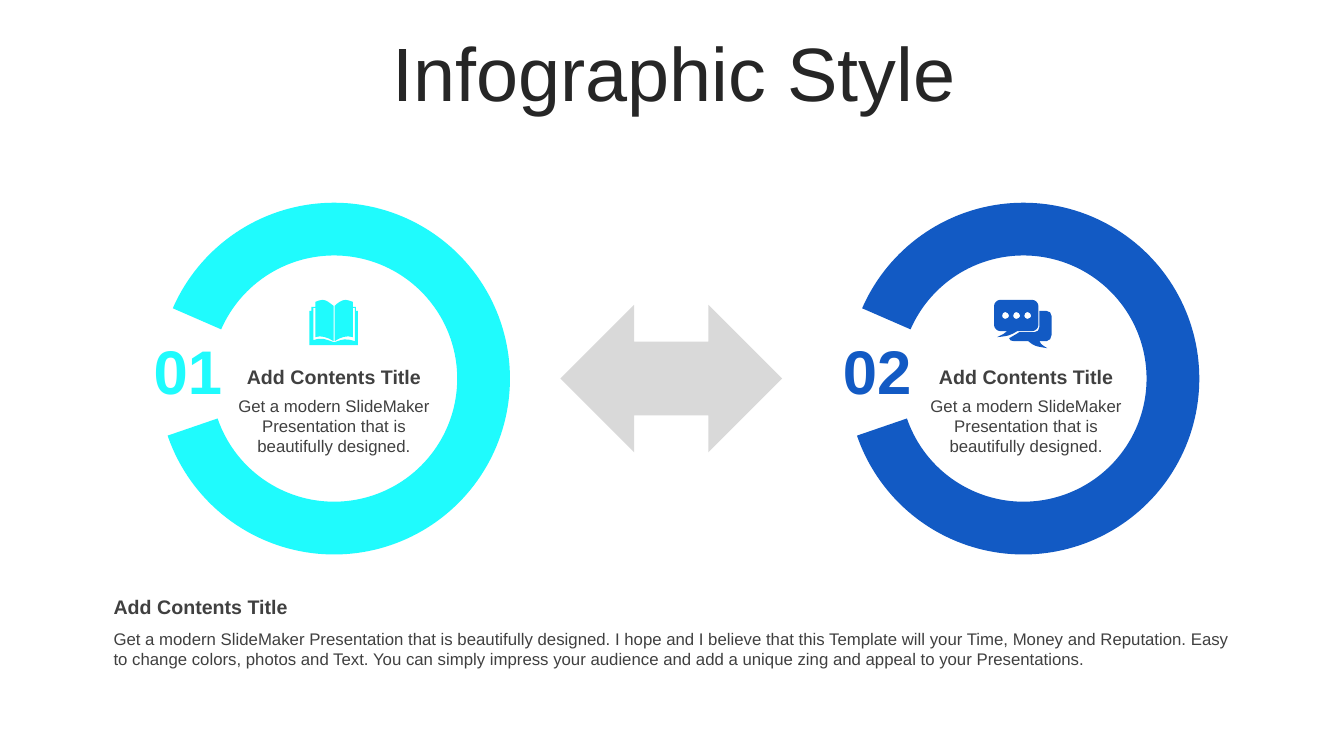
from lxml.etree import SubElement
from pptx import Presentation
from pptx.dml.color import RGBColor
from pptx.enum.shapes import MSO_SHAPE
from pptx.enum.text import MSO_ANCHOR, MSO_AUTO_SIZE, PP_ALIGN
from pptx.oxml.ns import qn
from pptx.util import Inches, Pt

CYAN = RGBColor(0x1F, 0xFB, 0xFD)
BLUE = RGBColor(0x12, 0x5A, 0xC4)
GREY = RGBColor(0xD9, 0xD9, 0xD9)
DARK = RGBColor(0x26, 0x26, 0x26)
TEXT = RGBColor(0x40, 0x40, 0x40)

HEAD = "Add Contents Title"
SHORT = "Get a modern SlideMaker Presentation that is beautifully designed."
LONG = (SHORT + " I hope and I believe that this Template will your Time, Money "
        "and Reputation. Easy to change colors, photos and Text. You can simply "
        "impress your audience and add a unique zing and appeal to your "
        "Presentations.")

BOOK = [[
    (24, 42), (25, 42), (33, 39, 36, 38, 45, 41), (45, 8), (43, 8),
    (43, 18, 43, 27, 43, 37), (37, 35, 31, 37, 25, 41), (25, 8), (25, 7),
    (25, 6), (28, 3, 32, 0, 36, 0), (38, 0, 40, 1, 43, 2),
    (43, 3, 43, 5, 43, 7), (46, 7), (46, 11), (48, 11), (48, 45), (0, 45),
    (0, 11), (2, 11), (2, 7), (6, 7), (6, 5, 6, 3, 6, 2),
    (8, 1, 11, 0, 13, 0), (17, 0, 20, 3, 24, 6), (24, 7), (24, 8), (24, 41),
    (18, 37, 11, 35, 6, 37), (6, 8), (4, 8), (4, 40), (12, 37, 16, 39, 24, 42),
]]
BACK = [
    (45, 11), (52, 11), (55, 11, 57, 13, 57, 16), (57, 35),
    (57, 38, 55, 41, 52, 41), (45, 41), (46, 43, 46, 44, 53, 48),
    (41, 46, 40, 46, 34, 41), (20, 41), (17, 41, 15, 40, 15, 38),
    (18, 36, 21, 35, 25, 32), (40, 32), (43, 32, 45, 30, 45, 27),
]
FRONT = [
    (6, 0), (38, 0), (41, 0, 44, 3, 44, 6), (44, 25),
    (44, 28, 41, 31, 38, 31), (23, 31), (17, 35, 14, 36, 3, 37),
    (9, 34, 10, 34, 13, 31), (6, 31), (3, 31, 0, 28, 0, 25), (0, 6),
    (0, 3, 3, 0, 6, 0),
]
DOTS = [[
    (x, 12), (x - 2, 12, x - 3, 14, x - 3, 16), (x - 3, 17, x - 2, 19, x, 19),
    (x + 2, 19, x + 4, 17, x + 4, 16), (x + 4, 14, x + 2, 12, x, 12),
] for x in (33, 22, 11)]
CHAT = DOTS + [BACK, FRONT]


def part(box, left, top, wide, high):
    """Return the piece of a box given in percent of its size."""
    x, y, w, h = box
    return (int(x + w * left / 100), int(y + h * top / 100),
            int(w * wide / 100), int(h * high / 100))


def style(para, size, color, bold=False, align=PP_ALIGN.CENTER):
    """Set the look of one paragraph."""
    para.alignment = align
    para.font.name = "Arial"
    para.font.size = Pt(size)
    para.font.bold = bold
    para.font.color.rgb = color


def paint(shape, color):
    """Fill a shape flat, without line or shadow."""
    shape.fill.solid()
    shape.fill.fore_color.rgb = color
    shape.line.fill.background()
    shape.shadow.inherit = False


def label(slide, box, text, *look):
    """Add a wrapped text box and return its frame."""
    frame = slide.shapes.add_textbox(*box).text_frame
    frame.word_wrap = True
    frame.auto_size = MSO_AUTO_SIZE.SHAPE_TO_FIT_TEXT
    frame.text = text
    style(frame.paragraphs[0], *look)
    return frame


def bend(shape, curves):
    """Join each three points of a curved step into one Bezier."""
    lines = iter(list(shape.element.iter(qn("a:lnTo"))))
    for step in (step for curve in curves for step in curve[1:]):
        line = next(lines)
        if len(step) == 2:
            continue
        parent = line.getparent()
        cubic = SubElement(parent, qn("a:cubicBezTo"))
        parent.replace(line, cubic)
        cubic.append(line[0])
        for _ in range(2):
            line = next(lines)
            cubic.append(line[0])
            parent.remove(line)


def icon(slide, spot, curves, color):
    """Draw outlines, in hundredths of an inch, as one shape."""
    form = None
    for first, *steps in curves:
        if form is None:
            form = slide.shapes.build_freeform(*first, scale=Inches(0.01))
        else:
            form.move_to(*first)
        points = [step[n:n + 2] for step in steps
                  for n in range(0, len(step), 2)]
        form.add_line_segments(points, close=False)
    shape = form.convert_to_shape(*spot)
    bend(shape, curves)
    paint(shape, color)


def title(slide, box, text):
    """Place the slide title."""
    shape = slide.shapes.title
    shape.left, shape.top, shape.width, shape.height = box
    frame = shape.text_frame
    frame.text = text
    frame.word_wrap = True
    frame.auto_size = MSO_AUTO_SIZE.NONE
    frame.vertical_anchor = MSO_ANCHOR.MIDDLE
    para = frame.paragraphs[0]
    para.line_spacing = 0.9
    style(para, 54, DARK)


def note(slide, box, body, split, align):
    """Stack a bold heading over body text, parted at a share."""
    label(slide, part(box, 0, 0, 100, 33.66), HEAD, 14, TEXT, True, align)
    label(slide, part(box, 0, split, 100, 100 - split), body,
          12, TEXT, False, align)


def ring(slide, box, number, color, curves, left, pad, wide):
    """Draw an open ring with its number, icon and note."""
    arc = slide.shapes.add_shape(MSO_SHAPE.BLOCK_ARC, *box)
    for n, value in enumerate((122.14, 96.65, 0.15)):
        arc.adjustments[n] = value
    paint(arc, color)
    frame = label(slide, part(box, -4.3, 35.53, 22.64, 24.07), number,
                  44, color, True)
    frame.margin_right = 0
    icon(slide, part(box, left, 27.6, 0, 0)[:2], curves, color)
    note(slide, part(box, pad, 44.7, wide, 28.94), SHORT, 29.9,
         PP_ALIGN.CENTER)


def main():
    """Build the slide and save it."""
    deck = Presentation()
    deck.slide_width, deck.slide_height = Inches(13.33), Inches(7.5)
    slide = deck.slides.add_slide(deck.slide_layouts[5])
    page = (0, 0, deck.slide_width, deck.slide_height)
    title(slide, part(page, 2.66, 4.93, 94.97, 10.53), "Infographic Style")
    for x, *look in ((11.77, "01", CYAN, BOOK, 42.98, 18.45, 63.04),
                     (63.06, "02", BLUE, CHAT, 41.65, 20.4, 60.74)):
        ring(slide, part(page, x, 26.82, 26.18, 46.53), *look)
    arrow = slide.shapes.add_shape(
        MSO_SHAPE.LEFT_RIGHT_ARROW, *part(page, 41.7, 40.32, 16.5, 19.5))
    paint(arrow, GREY)
    note(slide, part(page, 7.71, 78, 85.37, 11.2), LONG, 40.48, PP_ALIGN.LEFT)
    deck.save("out.pptx")


if __name__ == "__main__":
    main()
